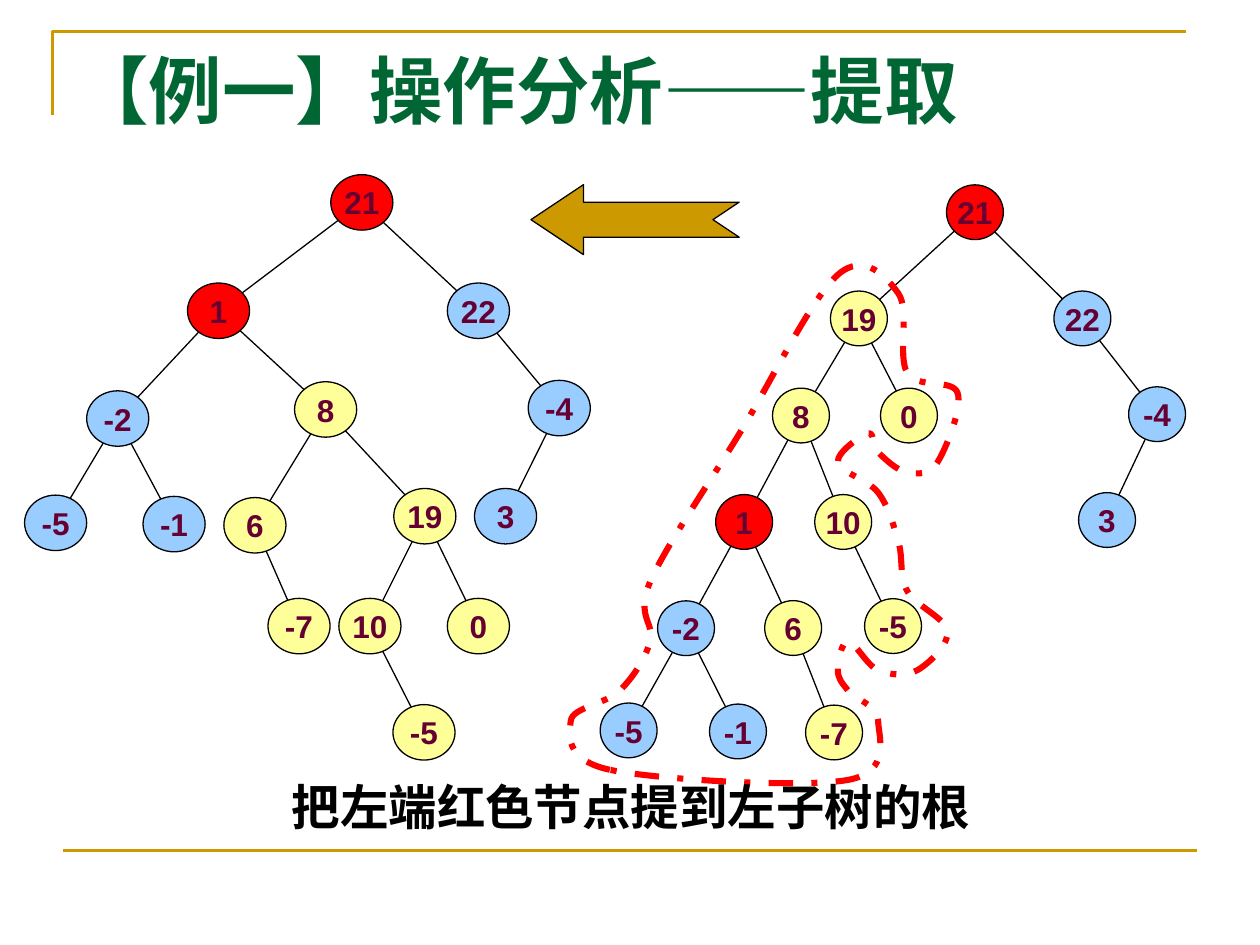
from collections import namedtuple
from dataclasses import dataclass

from lxml.etree import SubElement
from pptx import Presentation
from pptx.dml.color import RGBColor
from pptx.enum.dml import MSO_LINE_DASH_STYLE as Dash
from pptx.enum.shapes import MSO_CONNECTOR_TYPE as Connector
from pptx.enum.shapes import MSO_SHAPE as Preset
from pptx.enum.text import MSO_ANCHOR as Anchor
from pptx.enum.text import PP_ALIGN as Align
from pptx.oxml.ns import qn
from pptx.util import Pt


@dataclass(frozen=True)
class Theme:
    gold: str = "CC9900"
    black: str = "000000"
    red: str = "FF0000"
    blue: str = "99CCFF"
    yellow: str = "FFFF99"
    label: str = "660033"
    title: str = "006633"
    sans: str = "Arial"
    serif: str = "Times New Roman"
    title_size: float = 42
    caption_size: float = 27.7
    label_size: float = 18
    thin: float = 0.75
    rule: float = 1.5
    loop: float = 3.5


THEME = Theme()
RED, BLUE, YELLOW = THEME.red, THEME.blue, THEME.yellow
Node = namedtuple("Node", "label fill x y children", defaults=[()])

TREE_AFTER = Node("21", RED, 206.8, 115.7, (
    Node("1", RED, 124.9, 177.6, (
        Node("-2", BLUE, 67.3, 239.2, (
            Node("-5", BLUE, 31.8, 298.8),
            Node("-1", BLUE, 99.5, 299.5))),
        Node("8", YELLOW, 186.1, 234, (
            Node("6", YELLOW, 145.7, 300.2, (
                Node("-7", YELLOW, 170.9, 357.8),)),
            Node("19", YELLOW, 242.8, 295, (
                Node("10", YELLOW, 211.4, 357.8, (
                    Node("-5", YELLOW, 242.3, 418.5),)),
                Node("0", YELLOW, 273.4, 357.8))))))),
    Node("22", BLUE, 273.4, 177.6, (
        Node("-4", BLUE, 319.6, 233.2, (
            Node("3", BLUE, 288.9, 295),)),))))

TREE_BEFORE = Node("21", RED, 557.1, 121.3, (
    Node("19", YELLOW, 490.8, 182, (
        Node("8", YELLOW, 457.7, 237.5, (
            Node("1", RED, 425.2, 298.3, (
                Node("-2", BLUE, 392, 359),
                Node("6", YELLOW, 453.2, 358.9, (
                    Node("-7", YELLOW, 476.6, 418.6),)))),
            Node("10", YELLOW, 481.8, 298.3, (
                Node("-5", YELLOW, 510.3, 357.8),)))),
        Node("0", YELLOW, 519.4, 237.5))),
    Node("22", BLUE, 618.5, 182, (
        Node("-4", BLUE, 661.2, 236.7, (
            Node("3", BLUE, 632.6, 297.2),)),))))
LEAVES_OF_MINUS_TWO = (Node("-5", BLUE, 359.2, 417.4), Node("-1", BLUE, 421.7, 418))

LEFT_SUBTREE_LOOP = [
    (348.5, 439.9), (326.2, 411.8), (354.2, 394.6), (371.5, 366.5), (371.5, 332.6),
    (422.6, 247.7), (478.8, 157), (513.4, 167.8), (518.4, 213.1), (547.2, 224.6),
    (535.7, 264.2), (518.4, 270), (501.8, 258.5), (496.1, 247.7), (478.8, 264.2),
    (501.8, 281.5), (513.4, 309.6), (518.4, 337.7), (541.4, 360.7), (524.2, 383),
    (501.8, 383), (484.6, 366.5), (478.8, 383), (484.6, 394.6), (501.8, 411.8),
    (484.6, 445.7)]


def set_line(shape, color, width):
    shape.line.color.rgb = RGBColor.from_string(color)
    shape.line.width = Pt(width)


def set_fill(shape, color):
    if color is None:
        shape.fill.background()
    else:
        shape.fill.solid()
        shape.fill.fore_color.rgb = RGBColor.from_string(color)


def add_line(shapes, start, end, color, width):
    line = shapes.add_connector(Connector.STRAIGHT, *map(Pt, (*start, *end)))
    set_line(line, color, width)
    SubElement(line._element.spPr, qn("a:effectLst"))


def add_preset(shapes, preset, left, top, width, height, fill):
    shape = shapes.add_shape(preset, *map(Pt, (left, top, width, height)))
    shape.shadow.inherit = False
    set_fill(shape, fill)
    set_line(shape, THEME.black, THEME.thin)
    return shape


def add_outline(shapes, points, color, width, close=False):
    builder = shapes.build_freeform(*map(Pt, points[0]))
    builder.add_line_segments([(Pt(x), Pt(y)) for x, y in points[1:]], close=close)
    shape = builder.convert_to_shape()
    shape.shadow.inherit = False
    set_fill(shape, None)
    set_line(shape, color, width)
    return shape


def add_smooth_loop(shapes, anchors, color, width):
    """Closed curve whose tangent at each anchor is parallel to its neighbours' chord."""
    points = [anchors[0]]
    for i, start in enumerate(anchors):
        before = anchors[i - 1]
        end, after = (anchors[(i + k) % len(anchors)] for k in (1, 2))
        points.append(tuple(b + (c - a) / 6 for a, b, c in zip(before, start, end)))
        points.append(tuple(c - (d - b) / 6 for b, c, d in zip(start, end, after)))
        points.append(end)
    loop = add_outline(shapes, points, color, width, close=True)

    segments = list(loop._element.iter(qn("a:lnTo")))
    for i in range(0, len(segments), 3):
        first = segments[i]
        for segment in segments[i + 1:i + 3]:
            first.append(segment[0])
            segment.getparent().remove(segment)
        curve = first.makeelement(qn("a:cubicBezTo"))
        first.getparent().replace(first, curve)
        curve.extend(list(first))
    return loop


def write(frame, text, font_name, size, color, align):
    paragraph = frame.paragraphs[0]
    paragraph.alignment = align
    run = paragraph.add_run()
    run.text = text
    run.font.name = font_name
    run.font.size = Pt(size)
    run.font.bold = True
    run.font.color.rgb = RGBColor.from_string(color)


def add_text(shapes, box, *style):
    frame = shapes.add_textbox(*map(Pt, box)).text_frame
    frame.word_wrap = True
    write(frame, *style)


def children_of(node, extra):
    return node.children or extra.get(node.label, ())


def walk(node, extra):
    yield node
    for child in children_of(node, extra):
        yield from walk(child, extra)


def add_tree(slide, root, width, height, extra):
    """Draw all edges first, so that the nodes cover their ends."""
    shapes = slide.shapes.add_group_shape().shapes
    nodes = list(walk(root, extra))
    for node in nodes:
        for child in children_of(node, extra):
            add_line(shapes, (node.x, node.y), (child.x, child.y), THEME.black, THEME.thin)
    for node in nodes:
        shape = add_preset(shapes, Preset.OVAL, node.x - width / 2, node.y - height / 2,
                           width, height, node.fill)
        frame = shape.text_frame
        frame.word_wrap = False
        frame.vertical_anchor = Anchor.MIDDLE
        write(frame, node.label, THEME.sans, THEME.label_size, THEME.label, Align.CENTER)


def main():
    presentation = Presentation()
    presentation.slide_width, presentation.slide_height = Pt(720), Pt(540)
    slide = presentation.slides.add_slide(presentation.slide_layouts[6])
    shapes = slide.shapes

    add_outline(shapes, [(30, 66), (30, 18), (678, 18)], THEME.gold, THEME.rule)
    add_line(shapes, (36, 486), (684, 486), THEME.gold, THEME.rule)

    add_tree(slide, TREE_BEFORE, 32.5, 31.3, {"-2": LEAVES_OF_MINUS_TWO})
    loop = add_smooth_loop(shapes, LEFT_SUBTREE_LOOP, RED, THEME.loop)
    loop.line.dash_style = Dash.DASH_DOT

    arrow = add_preset(shapes, Preset.NOTCHED_RIGHT_ARROW, 303.4, 105.5, 119, 40, THEME.gold)
    arrow.adjustments[1] = 0.75
    arrow.rotation = 180
    add_tree(slide, TREE_AFTER, 35.5, 31.7, {})

    add_text(shapes, (36, 22, 648, 90), "【例一】操作分析——提取",
             THEME.serif, THEME.title_size, THEME.title, Align.LEFT)
    add_text(shapes, (36.7, 440.6, 648, 42.5), "把左端红色节点提到左子树的根",
             THEME.sans, THEME.caption_size, THEME.black, Align.CENTER)
    presentation.save("out.pptx")


if __name__ == "__main__":
    main()
